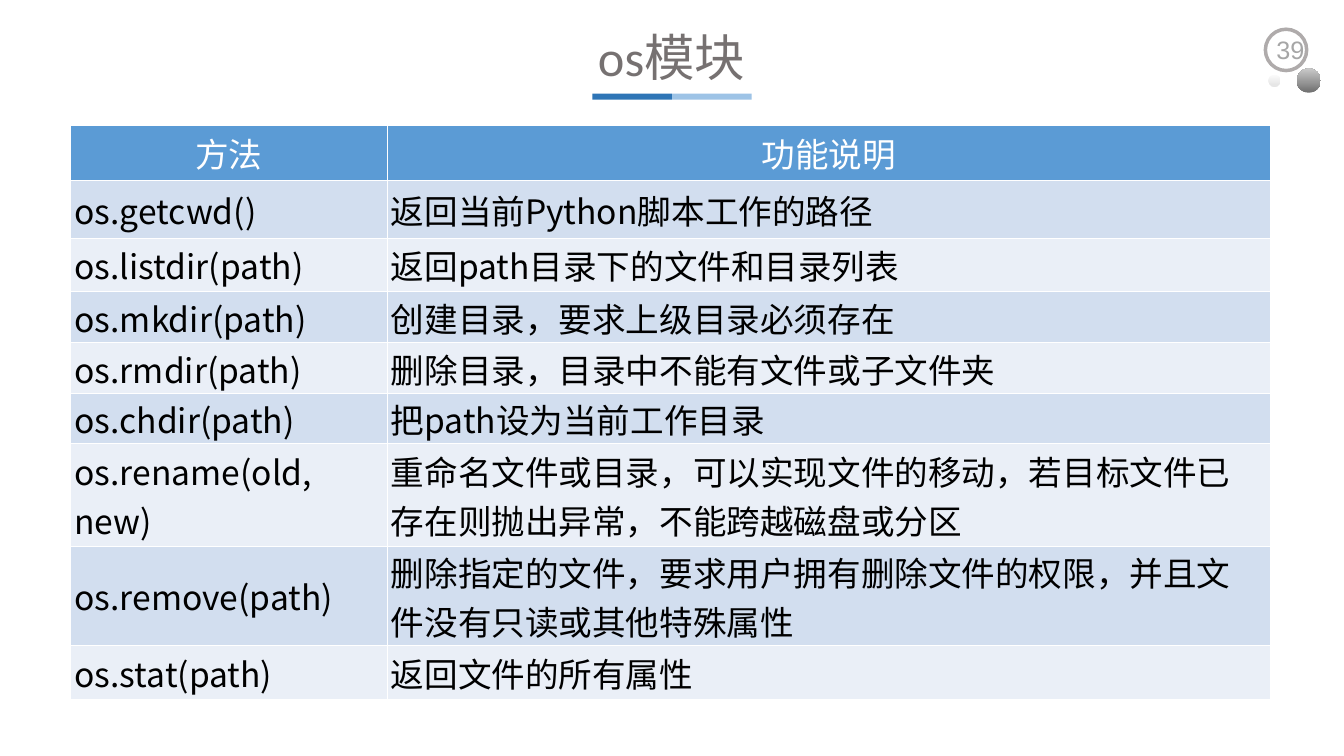
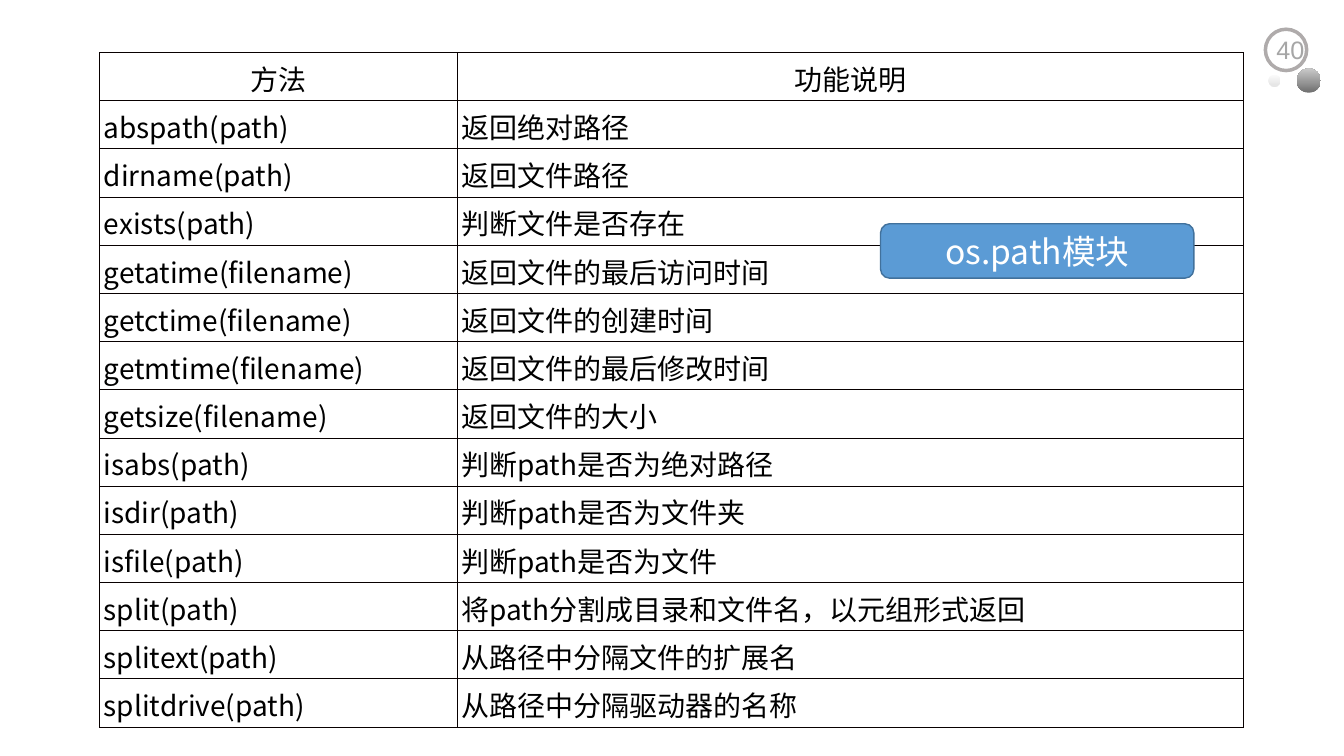
"""Build two slides of method tables for the os and os.path modules."""
import lxml.etree
import pptx
import pptx.dml.color
import pptx.enum.shapes
import pptx.enum.text
import pptx.oxml.ns
import pptx.util

Inches = pptx.util.Inches
Pt = pptx.util.Pt
RGB = pptx.dml.color.RGBColor.from_string
SHAPE = pptx.enum.shapes.MSO_SHAPE
ALIGN = pptx.enum.text.PP_ALIGN
MIDDLE = pptx.enum.text.MSO_ANCHOR.MIDDLE
qn = pptx.oxml.ns.qn

THEME = {
    "cjk": "Noto Sans CJK SC",
    "title": {"size": 36, "name": "Calibri", "color": "767171"},
    "number": {"size": 18, "name": "Arial", "color": "A6A6A6"},
    "label": {"size": 24, "name": "Noto Sans CJK SC", "color": "FFFFFF"},
    "large": {"size": 24, "name": "Noto Sans CJK SC", "color": "000000"},
    "medium": {"size": 20, "name": "Noto Sans CJK SC", "color": "000000"},
    "blue": "5B9BD5",
    "blue_edge": "41719C",
    "underline": ["2E75B6", "9DC3E6"],
    "bands": ["EAEFF7", "D2DEEF"],
    "ring": "AFABAB",
    "white": "FFFFFF",
    "grid": "080000",
}

HEADER = ("方法", "功能说明")
PAGES = [
    {
        "number": "39",
        "title": "os模块",
        "at": (0.7, 1.24),
        "columns": [3.14, 8.77],
        "heights": [0.55, 0.57, 0.53, 0.51, 0.5, 0.5, 1.02, 0.98, 0.54],
        "header_style": "label",
        "body_style": "large",
        "header_fill": THEME["blue"],
        "bands": THEME["bands"],
        "border": THEME["white"],
        "header_rule": 1.47,
        "margins": {"margin_top": 0.01, "margin_bottom": 0},
        "rows": [
            ("os.getcwd()", "返回当前Python脚本工作的路径"),
            ("os.listdir(path)", "返回path目录下的文件和目录列表"),
            ("os.mkdir(path)", "创建目录，要求上级目录必须存在"),
            ("os.rmdir(path)", "删除目录，目录中不能有文件或子文件夹"),
            ("os.chdir(path)", "把path设为当前工作目录"),
            ("os.rename(old, new)", "重命名文件或目录，可以实现文件的移动，若目标文件已存在则抛出异常，不能跨越磁盘或分区"),
            ("os.remove(path)", "删除指定的文件，要求用户拥有删除文件的权限，并且文件没有只读或其他特殊属性"),
            ("os.stat(path)", "返回文件的所有属性"),
        ],
    },
    {
        "number": "40",
        "label": "os.path模块",
        "at": (0.99, 0.52),
        "columns": [3.55, 7.8],
        "heights": [0.478] * 14,
        "header_style": "medium",
        "body_style": "medium",
        "header_fill": None,
        "bands": [None, None],
        "border": THEME["grid"],
        "header_rule": 0.45,
        "margins": {"margin_top": 0.05, "margin_bottom": 0.02},
        "rows": [
            ("abspath(path)", "返回绝对路径"),
            ("dirname(path)", "返回文件路径"),
            ("exists(path)", "判断文件是否存在"),
            ("getatime(filename)", "返回文件的最后访问时间"),
            ("getctime(filename)", "返回文件的创建时间"),
            ("getmtime(filename)", "返回文件的最后修改时间"),
            ("getsize(filename)", "返回文件的大小"),
            ("isabs(path)", "判断path是否为绝对路径"),
            ("isdir(path)", "判断path是否为文件夹"),
            ("isfile(path)", "判断path是否为文件"),
            ("split(path)", "将path分割成目录和文件名，以元组形式返回"),
            ("splitext(path)", "从路径中分隔文件的扩展名"),
            ("splitdrive(path)", "从路径中分隔驱动器的名称"),
        ],
    },
]


def write(frame, text, style, align=ALIGN.LEFT):
    """Write one styled paragraph into a text frame."""
    para = frame.paragraphs[0]
    para.alignment = align
    span = para.add_run()
    span.text = text
    look = THEME[style]
    for name, value in {"size": Pt(look["size"]), "name": look["name"]}.items():
        setattr(span.font, name, value)
    span.font.color.rgb = RGB(look["color"])
    properties = span.font._element
    lxml.etree.SubElement(properties, qn("a:ea")).set("typeface", THEME["cjk"])


def add_box(page, kind, at, fill, line=None, width=1):
    """Add a preset shape with a solid or two-colour fill."""
    box = page.shapes.add_shape(kind, *map(Inches, at))
    box.shadow.inherit = False
    if isinstance(fill, str):
        box.fill.solid()
        box.fill.fore_color.rgb = RGB(fill)
    else:
        box.fill.gradient()
        box.fill.gradient_angle = fill["angle"]
        for stop, color in zip(box.fill.gradient_stops, fill["colors"]):
            stop.color.rgb = RGB(color)
        for stop, position in zip(box.fill.gradient_stops, (0, 1)):
            stop.position = position
    if line:
        box.line.color.rgb = RGB(line)
        box.line.width = Pt(width)
    else:
        box.line.fill.background()
    return box


deck = pptx.Presentation()
deck.slide_width = Inches(13.34)
deck.slide_height = Inches(7.5)

for content in PAGES:
    page = deck.slides.add_slide(deck.slide_layouts[6])

    add_box(page, SHAPE.OVAL, (12.56, 0.29, 0.41, 0.41), THEME["white"], THEME["ring"], 2.5)
    add_box(page, SHAPE.OVAL, (12.87, 0.68, 0.24, 0.24), {"colors": ("6F6F6F", "C9C9C9"), "angle": 90})
    add_box(page, SHAPE.OVAL, (12.59, 0.74, 0.12, 0.12), {"colors": ("FAFAFA", "E4E4E4"), "angle": 270})
    number = page.shapes.add_textbox(*map(Inches, (12.57, 0.29, 0.55, 0.4)))
    number.text_frame.word_wrap = True
    write(number.text_frame, content["number"], "number")

    if "title" in content:
        title = page.shapes.add_textbox(*map(Inches, (3.81, 0, 5.71, 1)))
        for name, value in {"word_wrap": True, "margin_top": Inches(0.26), "margin_bottom": 0}.items():
            setattr(title.text_frame, name, value)
        write(title.text_frame, content["title"], "title", ALIGN.CENTER)
        for index, color in enumerate(THEME["underline"]):
            add_box(page, SHAPE.RECTANGLE, (5.88 + 0.79 * index, 0.93, 0.79, 0.06), color)

    rows = [HEADER] + content["rows"]
    size = (sum(content["columns"]), sum(content["heights"]))
    frame = page.shapes.add_table(len(rows), len(HEADER), *map(Inches, content["at"] + size))
    table = frame.table
    table.first_row = False
    table.horz_banding = False
    for column, width in zip(table.columns, content["columns"]):
        column.width = Inches(width)
    for row, height in zip(table.rows, content["heights"]):
        row.height = Inches(height)

    for row_index, texts in enumerate(rows):
        is_header = row_index == 0
        fill = content["header_fill"] if is_header else content["bands"][row_index % 2]
        style = content["header_style"] if is_header else content["body_style"]
        borders = {"lnL": 0.45, "lnR": 0.45, "lnT": 0.45, "lnB": 0.45}
        if row_index < 2:
            borders["lnB" if is_header else "lnT"] = content["header_rule"]
        margins = {"margin_left": 0.1 if is_header else 0.04, "margin_right": 0.1, **content["margins"]}
        for column_index, text in enumerate(texts):
            cell = table.cell(row_index, column_index)
            cell.vertical_anchor = MIDDLE
            for name, value in margins.items():
                setattr(cell, name, Inches(value))
            properties = cell._tc.get_or_add_tcPr()
            for side, width in borders.items():
                edge = lxml.etree.SubElement(properties, qn("a:" + side), w=str(Pt(width)))
                solid = lxml.etree.SubElement(edge, qn("a:solidFill"))
                lxml.etree.SubElement(solid, qn("a:srgbClr"), val=content["border"])
            if fill:
                cell.fill.solid()
                cell.fill.fore_color.rgb = RGB(fill)
            else:
                cell.fill.background()
            write(cell.text_frame, text, style, ALIGN.CENTER if is_header else ALIGN.LEFT)

    if "label" in content:
        label = add_box(page, SHAPE.ROUNDED_RECTANGLE, (8.74, 2.22, 3.11, 0.54), THEME["blue"], THEME["blue_edge"])
        label.text_frame.vertical_anchor = MIDDLE
        write(label.text_frame, content["label"], "label", ALIGN.CENTER)

deck.save("out.pptx")
